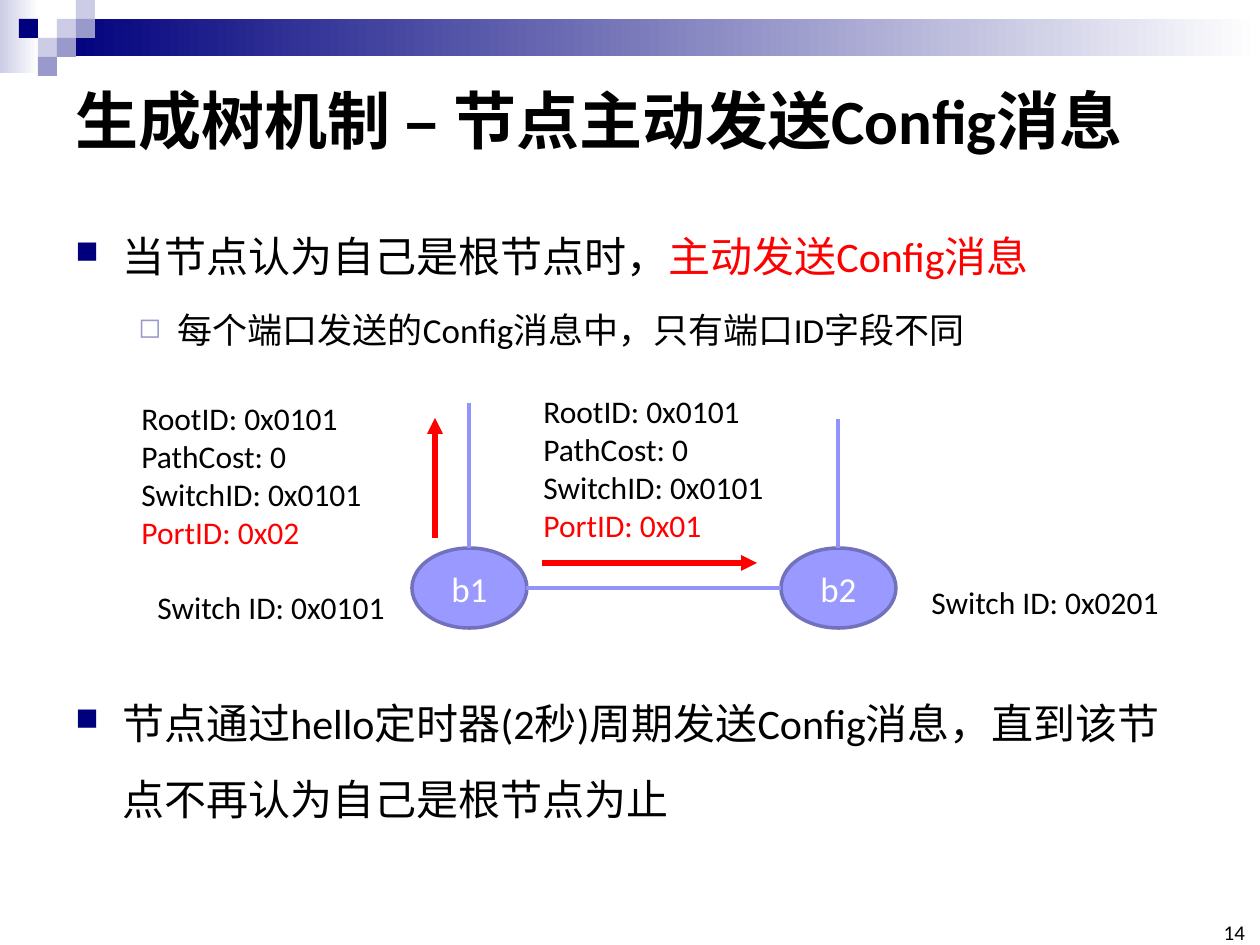
from lxml import etree
from pptx import Presentation
from pptx.dml.color import RGBColor
from pptx.enum.shapes import MSO_CONNECTOR, MSO_SHAPE
from pptx.enum.text import MSO_ANCHOR, PP_ALIGN
from pptx.oxml.ns import qn
from pptx.util import Pt

RECT, OVAL = MSO_SHAPE.RECTANGLE, MSO_SHAPE.OVAL
STRAIGHT = MSO_CONNECTOR.STRAIGHT
MIDDLE, BOTTOM = MSO_ANCHOR.MIDDLE, MSO_ANCHOR.BOTTOM
LEFT, CENTER, RIGHT = PP_ALIGN.LEFT, PP_ALIGN.CENTER, PP_ALIGN.RIGHT
SCALE = 914400 / 126
NAVY, LILAC, MAUVE = "00007D", "CCCCE6", "9999CC"
BLACK, WHITE, RED = "000000", "FFFFFF", "FF0000"
rgb = RGBColor.from_string


def emu(*pixels):
    return [round(p * SCALE) for p in pixels]


def write(frame, lines, size, align=LEFT, bold=False):
    for i, (text, colour) in enumerate(lines):
        paragraph = frame.paragraphs[0] if i == 0 else frame.add_paragraph()
        paragraph.text = text
        paragraph.alignment = align
        font = paragraph.font
        font.name, font.size, font.bold = "Calibri", Pt(size), bold
        font.color.rgb = rgb(colour)


prs = Presentation()
prs.slide_width, prs.slide_height = emu(1260, 945)
slide = prs.slides.add_slide(prs.slide_layouts[5])
shapes = slide.shapes

title = shapes.title
title.left, title.top, title.width, title.height = emu(63, 63, 1134, 112)
title.text_frame.vertical_anchor = MIDDLE
write(title.text_frame, [("生成树机制 – 节点主动发送Config消息", BLACK)], 36, bold=True)

for area, start in [((0, 0, 39, 73), LILAC), ((57, 19, 1203, 37), NAVY)]:
    band = shapes.add_shape(RECT, *emu(*area))
    band.shadow.inherit = False
    band.line.fill.background()
    band.fill.gradient()
    band.fill.gradient_angle = 0
    for stop, colour in zip(band.fill.gradient_stops, (start, WHITE)):
        stop.color.rgb = rgb(colour)

TILE = 19
for column, row, colour in [(3, 1, LILAC), (4, 0, LILAC), (4, 1, MAUVE), (2, 2, LILAC),
                            (1, 1, NAVY), (3, 2, MAUVE), (2, 3, MAUVE)]:
    tile = shapes.add_shape(RECT, *emu(column * TILE, row * TILE, TILE, TILE))
    tile.shadow.inherit = False
    tile.line.fill.background()
    tile.fill.solid()
    tile.fill.fore_color.rgb = rgb(colour)

points = [
    (0, 24, 0, [("当节点认为自己是根节点时，", BLACK), ("主动发送Config消息", RED)]),
    (1, 20, 4, [("每个端口发送的Config消息中，只有端口ID字段不同", BLACK)]),
    (0, 24, 184, [("节点通过hello定时器(2秒)周期发送Config消息，直到该节点不再认为自己是根节点为止", BLACK)]),
]
bullets = [("■", NAVY, 75, 47, 47), ("◻", MAUVE, 80, 102, 39)]
body = shapes.add_textbox(*emu(63, 199, 1134, 694)).text_frame
body.word_wrap = True
for i, (level, size, before, parts) in enumerate(points):
    paragraph = body.paragraphs[0] if i == 0 else body.add_paragraph()
    paragraph.level = level
    paragraph.line_spacing = 1.5
    paragraph.space_before = Pt(before)
    mark, mark_colour, percent, margin, hanging = bullets[level]
    props = paragraph._p.get_or_add_pPr()
    indent, = emu(hanging)
    props.set("marL", str(emu(margin)[0]))
    props.set("indent", str(-indent))
    bullet_colour = etree.SubElement(props, qn("a:buClr"))
    etree.SubElement(bullet_colour, qn("a:srgbClr"), val=mark_colour)
    etree.SubElement(props, qn("a:buSzPct"), val=str(percent * 1000))
    etree.SubElement(props, qn("a:buChar"), char=mark)
    paragraph.font.name, paragraph.font.size = "Calibri", Pt(size)
    for text, colour in parts:
        run = paragraph.add_run()
        run.text = text
        run.font.color.rgb = rgb(colour)

number = shapes.add_textbox(*emu(1216, 924, 29, 21)).text_frame
number.margin_left = number.margin_right = number.margin_top = number.margin_bottom = 0
number.vertical_anchor = BOTTOM
write(number, [("14", BLACK)], 12, RIGHT)

for name, left in [("b1", 412), ("b2", 781)]:
    switch = shapes.add_shape(OVAL, *emu(left, 548, 115, 80))
    switch.shadow.inherit = False
    switch.fill.solid()
    switch.fill.fore_color.rgb = rgb("9999FF")
    switch.line.color.rgb = rgb("7171BD")
    switch.line.width = Pt(2)
    switch.text_frame.vertical_anchor = MIDDLE
    write(switch.text_frame, [(name, WHITE)], 20, CENTER)

LINK, SEND = ("9393FC", 2.25, False), (RED, 3, True)
for ends, (colour, width, arrow) in [
    ((469, 403, 469, 548), LINK),
    ((838, 419, 838, 548), LINK),
    ((526, 588, 781, 588), LINK),
    ((435, 538, 435, 418), SEND),
    ((542, 563, 757, 563), SEND),
]:
    link = shapes.add_connector(STRAIGHT, *emu(*ends))
    link.line.color.rgb = rgb(colour)
    link.line.width = Pt(width)
    if arrow:
        etree.SubElement(link.line._get_or_add_ln(), qn("a:tailEnd"), type="triangle")
    etree.SubElement(link._element.spPr, qn("a:effectLst"))

message = [("RootID: 0x0101", BLACK), ("PathCost: 0", BLACK), ("SwitchID: 0x0101", BLACK)]
for area, lines in [
    ((145, 582, 256, 50), [("Switch ID: 0x0101", BLACK)]),
    ((919, 577, 256, 50), [("Switch ID: 0x0201", BLACK)]),
    ((129, 393, 248, 165), message + [("PortID: 0x02", RED)]),
    ((531, 386, 248, 165), message + [("PortID: 0x01", RED)]),
]:
    label = shapes.add_textbox(*emu(*area)).text_frame
    label.word_wrap = False
    write(label, lines, 18)

prs.save("out.pptx")
